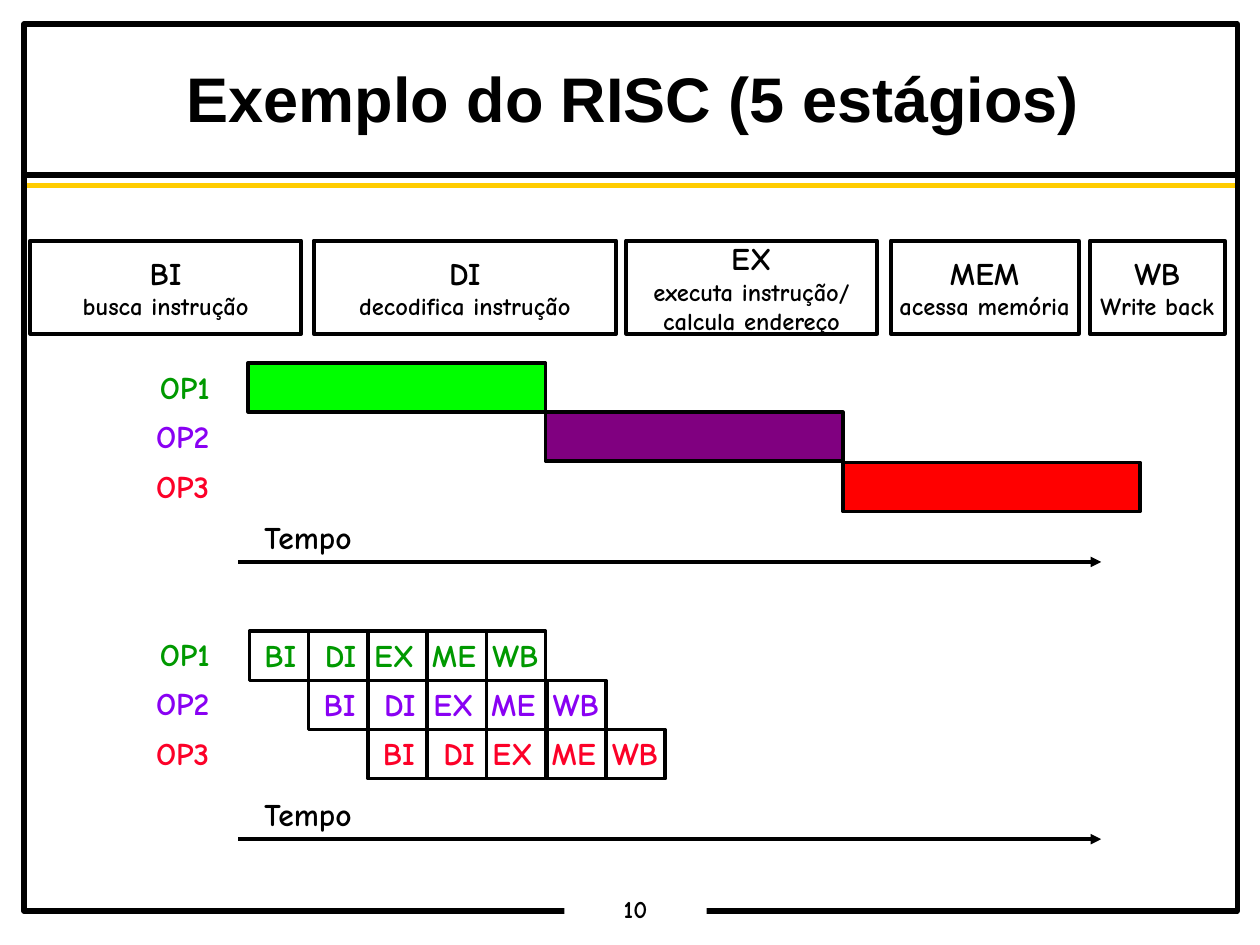
from typing import NamedTuple, Optional

from lxml.etree import SubElement as Sub
from pptx import Presentation as Deck
from pptx.dml.color import RGBColor as Color
from pptx.enum.shapes import MSO_CONNECTOR as Link, MSO_SHAPE as Kind
from pptx.enum.text import MSO_ANCHOR as Anchor, MSO_AUTO_SIZE as Auto, PP_ALIGN as Align
from pptx.oxml.ns import qn
from pptx.util import Emu, Pt

UNIT = 9144
BLACK = Color(0x00, 0x00, 0x00)
WHITE = Color(0xFF, 0xFF, 0xFF)
GOLD = Color(0xFF, 0xCC, 0x00)
GREEN = Color(0x00, 0x99, 0x00)
VIOLET = Color(0x89, 0x01, 0xF3)
CRIMSON = Color(0xFC, 0x01, 0x28)
LIME = Color(0x00, 0xFF, 0x00)
PURPLE = Color(0x80, 0x00, 0x80)
RED = Color(0xFF, 0x00, 0x00)


class Box(NamedTuple):
    left: int
    top: int
    width: int
    height: int


class Stage(NamedTuple):
    left: int
    width: int
    lines: list[str]


class Step(NamedTuple):
    name: str
    shift: int
    width: int


class Task(NamedTuple):
    name: str
    left: int
    width: int
    ink: Color
    fill: Color


STAGES = [
    Stage(24, 215, ["BI", "busca instrução"]),
    Stage(249, 240, ["DI", "decodifica instrução"]),
    Stage(497, 199, ["EX", "executa instrução/", "calcula endereço"]),
    Stage(707, 149, ["MEM", "acessa memória"]),
    Stage(865, 107, ["WB", "Write back"]),
]
STEPS = [
    Step("BI", 2, 45),
    Step("DI", 3, 45),
    Step("EX", -5, 52),
    Step("ME", -6, 55),
    Step("WB", -5, 56),
]
TASKS = [
    Task("OP1", 117, 59, GREEN, LIME),
    Task("OP2", 114, 62, VIOLET, PURPLE),
    Task("OP3", 114, 62, CRIMSON, RED),
]
BAR, ROW, TALL = 236, 39, 40
BARS, CELLS = 288, 501


def px(size: int) -> Emu:
    return Emu(size * UNIT)


def place(box: Box) -> list[Emu]:
    return [px(size) for size in box]


def write(shape, lines: list[str], *, sizes=(18,), font="Comic Neue", ink=BLACK,
          align=Align.LEFT, anchor=Anchor.TOP, pad=(10, 5), wrap=False, space=1.0) -> None:
    frame = shape.text_frame
    frame.word_wrap = wrap
    frame.auto_size = Auto.NONE
    frame.vertical_anchor = anchor
    frame.margin_left = frame.margin_right = px(pad[0])
    frame.margin_top = frame.margin_bottom = px(pad[1])
    for pos, line in enumerate(lines):
        para = frame.paragraphs[0] if pos == 0 else frame.add_paragraph()
        para.alignment = align
        para.line_spacing = space
        run = para.add_run()
        run.text = line
        run.font.name = font
        run.font.size = Pt(sizes[min(pos, len(sizes) - 1)])
        run.font.bold = True
        run.font.color.rgb = ink


def draw(slide, box: Box, *, fill: Optional[Color] = None, line: float = 2):
    shape = slide.shapes.add_shape(Kind.RECTANGLE, *place(box))
    shape.shadow.inherit = False
    if fill is None:
        shape.fill.background()
    else:
        shape.fill.solid()
        shape.fill.fore_color.rgb = fill
    if line:
        shape.line.color.rgb = BLACK
        shape.line.width = Pt(line)
    else:
        shape.line.fill.background()
    return shape


def label(slide, box: Box, text: str, **style) -> None:
    write(slide.shapes.add_textbox(*place(box)), [text], **style)


def rule(slide, left: int, right: int, top: int, ink: Color, size: float,
         arrow: bool = False) -> None:
    link = slide.shapes.add_connector(
        Link.STRAIGHT, px(left), px(top), px(right), px(top))
    link.line.color.rgb = ink
    link.line.width = Pt(size)
    if arrow:
        Sub(link.line._get_or_add_ln(), qn("a:tailEnd"), type="triangle")
    Sub(link._element.spPr, qn("a:effectLst"))


def names(slide, top: int) -> None:
    for row, task in enumerate(TASKS):
        spot = Box(task.left, top + row * 79 // 2, task.width, TALL)
        label(slide, spot, task.name, ink=task.ink)


def axis(slide, top: int) -> None:
    label(slide, Box(200, top - TALL, 91, TALL), "Tempo")
    rule(slide, 189, 874, top, BLACK, 2, arrow=True)


def main() -> None:
    deck = Deck()
    deck.slide_width, deck.slide_height = px(1000), px(750)
    slide = deck.slides.add_slide(deck.slide_layouts[6])

    rule(slide, 20, 983, 139, BLACK, 3)
    rule(slide, 20, 983, 147, GOLD, 3)
    draw(slide, Box(19, 19, 963, 704), line=3)
    page = draw(slide, Box(448, 709, 113, 27), fill=WHITE, line=0)
    write(page, ["10"], sizes=(14,), align=Align.CENTER, pad=(7, 3), space=0.9)
    label(slide, Box(20, 49, 965, 63), "Exemplo do RISC (5 estágios)", sizes=(36,),
          font="Arial", align=Align.CENTER, pad=(7, 3), wrap=True, space=0.95)

    for stage in STAGES:
        shape = draw(slide, Box(stage.left, 191, stage.width, 74), line=2.25)
        write(shape, stage.lines, sizes=(18, 14), align=Align.CENTER, anchor=Anchor.MIDDLE)

    for row, task in enumerate(TASKS):
        top = CELLS + row * ROW
        for col, step in enumerate(STEPS):
            left = 198 + (row + col) * BAR // len(STEPS)
            draw(slide, Box(left, top, 47, ROW), fill=WHITE)
            label(slide, Box(left + step.shift, top - 1, step.width, TALL),
                  step.name, ink=task.ink)

    names(slide, CELLS - 2)
    axis(slide, 666)
    names(slide, BARS - 1)
    axis(slide, 446)
    for row, task in enumerate(TASKS):
        spot = Box(197 + row * BAR, BARS + row * 79 // 2, BAR, ROW)
        draw(slide, spot, fill=task.fill)

    deck.save("out.pptx")


if __name__ == "__main__":
    main()
